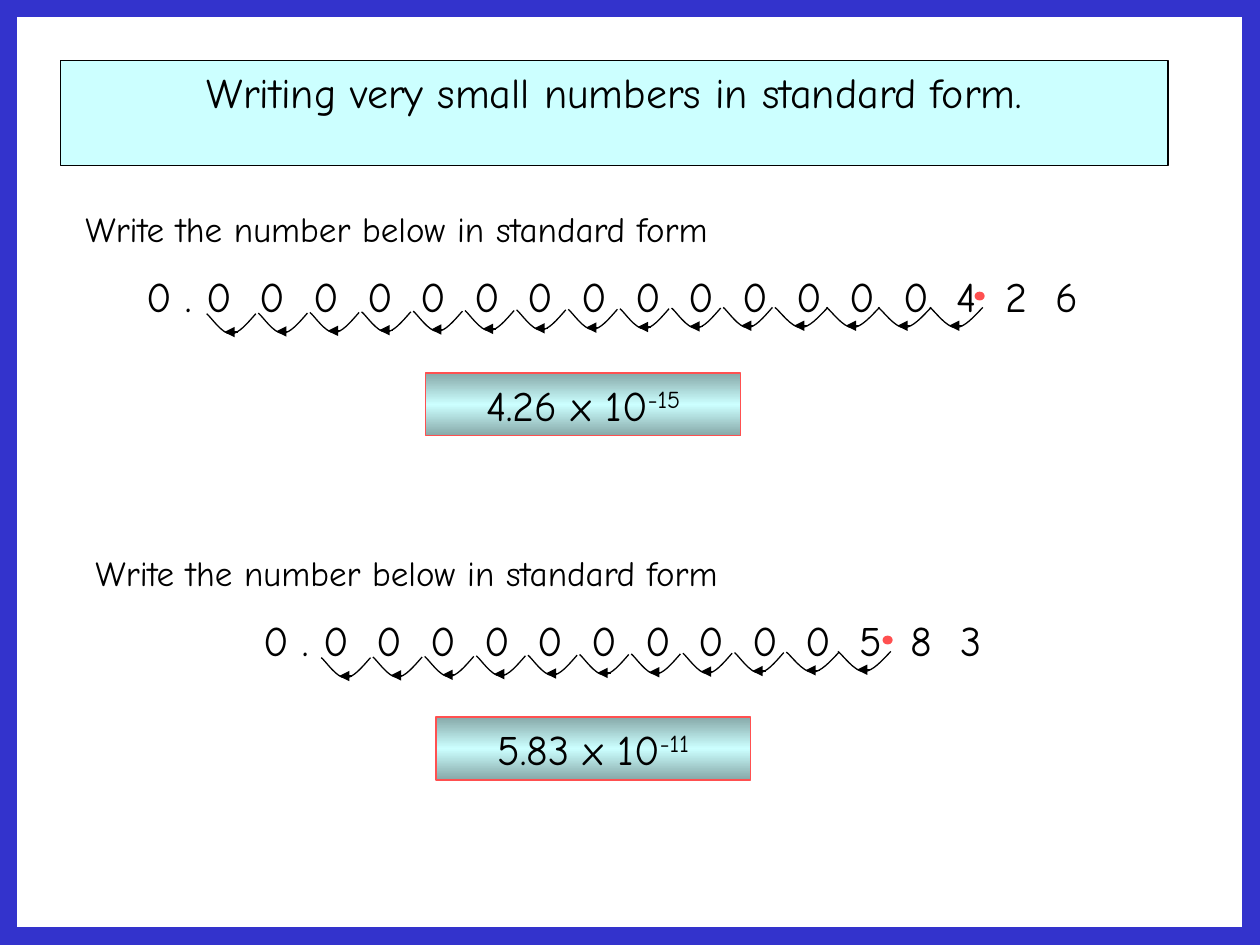
from copy import deepcopy
from dataclasses import dataclass

from lxml.etree import SubElement
from pptx import Presentation
from pptx.dml.color import RGBColor
from pptx.enum.shapes import MSO_CONNECTOR, MSO_SHAPE
from pptx.enum.text import MSO_ANCHOR, MSO_AUTO_SIZE, PP_ALIGN
from pptx.oxml.ns import qn
from pptx.util import Inches, Pt

FONT = "Comic Neue"
BLACK, AQUA, TEAL, RED, BLUE = "000000", "CCFFFF", "86A8A8", "FF5050", "3333CC"
COLUMNS, ROWS = 100, 75
HOP_STEP, HOP_HEIGHT, HOP_RISE = 4.1, 1.6, 0.05
HOP_WIDTH, WIDE_HOP_WIDTH = 3.9, 4.2
HOP_CURVE = [(0.82, 0.5), (0.65, 1), (0.49, 1), (0.31, 1), (0.09, 0.17), (0, 0)]


@dataclass(frozen=True)
class Example:
    column: float
    row: float
    digits: str
    mantissa: str
    exponent: str
    dot_column: float
    first_hop: float
    hops: int
    wide_hops: int


EXAMPLES = [
    Example(5.2, 16, "0 . 0  0  0  0  0  0  0  0  0  0  0  0  0  0  4  2  6 ",
            "4.26 x 10", "-15", 77.4, 16.4, 15, 4),
    Example(6, 43.3, "0 . 0  0  0  0  0  0  0  0  0  0  5  8  3 ",
            "5.83 x 10", "-11", 70.1, 25.5, 11, 2),
]

deck = Presentation()
deck.slide_width, deck.slide_height = Inches(10), Inches(7.5)
slide = deck.slides.add_slide(deck.slide_layouts[5])


def x(columns: float) -> int:
    return round(deck.slide_width * columns / COLUMNS)


def y(rows: float) -> int:
    return round(deck.slide_height * rows / ROWS)


def box(column: float, row: float, width: float, height: float) -> tuple:
    return x(column), y(row), x(width), y(height)


def paint(color_owner, color: str) -> None:
    color_owner.rgb = RGBColor.from_string(color)


def fill(shape, color: str) -> None:
    shape.fill.solid()
    paint(shape.fill.fore_color, color)


def outline(shape, color: str, points: float = 0.75) -> None:
    paint(shape.line.color, color)
    shape.line.width = Pt(points)


def write(shape, parts: list[str], size: int, align=PP_ALIGN.CENTER) -> None:
    frame = shape.text_frame
    frame.text = parts[0]
    frame.word_wrap = True
    frame.auto_size = MSO_AUTO_SIZE.SHAPE_TO_FIT_TEXT
    frame.vertical_anchor = MSO_ANCHOR.TOP
    paragraph = frame.paragraphs[0]
    paragraph.alignment = align
    for part in parts[1:]:
        raised = paragraph.add_run()
        raised.text = part
        raised.font._element.set("baseline", "30000")
    for run in paragraph.runs:
        run.font.name, run.font.size = FONT, Pt(size)
        paint(run.font.color, BLACK)


def add_preset(kind, place: tuple):
    shape = slide.shapes.add_shape(kind, *place)
    shape.shadow.inherit = False
    return shape


def shade(shape) -> None:
    shape.fill.gradient()
    shape.fill.gradient_angle = 90
    stop_list = next(shape.element.iter(qn("a:gsLst")))
    stop_list.append(deepcopy(stop_list[0]))
    for stop, position, color in zip(shape.fill.gradient_stops, (0, 0.5, 1), (TEAL, AQUA, TEAL)):
        stop.position = position
        paint(stop.color, color)


def bend(curve) -> None:
    segments = list(curve.element.iter(qn("a:lnTo")))
    outline_path = segments[0].getparent()
    for start in range(0, len(segments), 3):
        bezier = SubElement(outline_path, qn("a:cubicBezTo"))
        for segment in segments[start:start + 3]:
            bezier.append(segment[0])
            outline_path.remove(segment)


def draw_hop(column: float, row: float, width: float) -> None:
    hop = slide.shapes.add_group_shape().shapes
    builder = hop.build_freeform(x(column + width), y(row))
    builder.add_line_segments(
        [(x(column + width * across), y(row + HOP_HEIGHT * down)) for across, down in HOP_CURVE],
        close=False)
    curve = builder.convert_to_shape()
    bend(curve)
    curve.shadow.inherit = False
    curve.fill.background()
    outline(curve, BLACK)

    level = y(row + HOP_HEIGHT * 0.91)
    arrow = hop.add_connector(MSO_CONNECTOR.STRAIGHT, x(column + width * 0.63), level,
                              x(column + width * 0.36), level)
    outline(arrow, BLACK)
    SubElement(arrow.line._get_or_add_ln(), qn("a:tailEnd"), type="triangle")
    SubElement(arrow.element.spPr, qn("a:effectLst"))


def draw_example(example: Example) -> None:
    column, row = example.column, example.row
    digits = slide.shapes.add_textbox(*box(column, row + 5, 87.9, 5))
    write(digits, [example.digits], 24)
    prompt = slide.shapes.add_textbox(*box(column + 0.6, row, 73.3, 4.4))
    write(prompt, ["Write the number below in standard form"], 20, PP_ALIGN.LEFT)

    answer = add_preset(MSO_SHAPE.RECTANGLE, box(column + 28.6, row + 13.6, 25, 5))
    shade(answer)
    outline(answer, RED)
    write(answer, [example.mantissa, example.exponent], 24)

    point = add_preset(MSO_SHAPE.OVAL, box(example.dot_column, row + 7.2, 0.7, 0.6))
    fill(point, RED)
    outline(point, RED)

    for index in reversed(range(example.hops)):
        wide = index >= example.hops - example.wide_hops
        draw_hop(example.first_hop + index * HOP_STEP,
                 row + 8.9 - HOP_RISE * min(index, 10),
                 WIDE_HOP_WIDTH if wide else HOP_WIDTH)


def main() -> None:
    title = slide.shapes.title
    title.left, title.top, title.width, title.height = box(4.8, 4.8, 87.9, 5)
    fill(title, AQUA)
    outline(title, BLACK)
    write(title, ["Writing very small numbers in standard form."], 24)
    for example in EXAMPLES:
        draw_example(example)
    border = add_preset(MSO_SHAPE.RECTANGLE, box(0, 0, COLUMNS, ROWS))
    border.fill.background()
    outline(border, BLUE, 20)
    deck.save("out.pptx")


if __name__ == "__main__":
    main()
